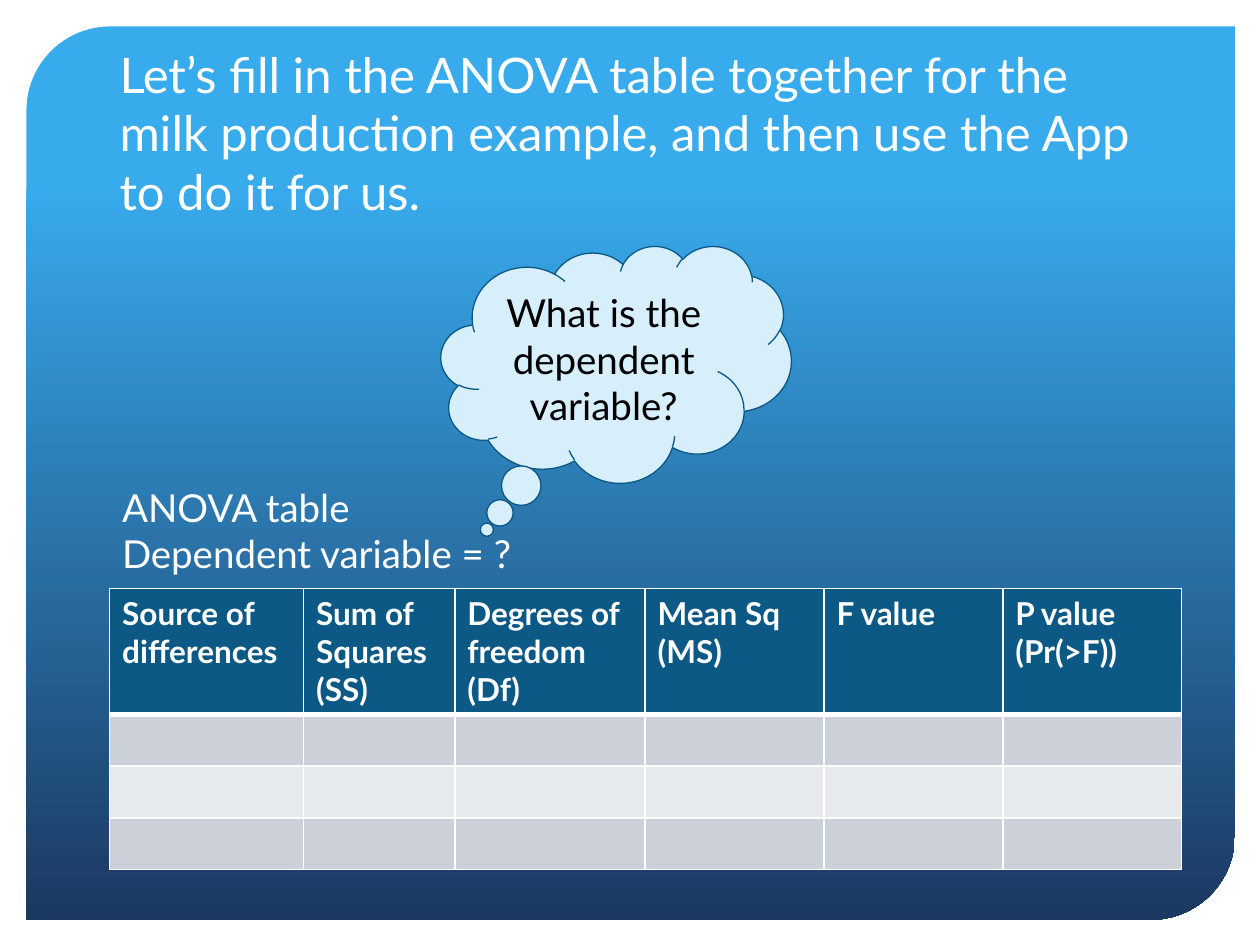
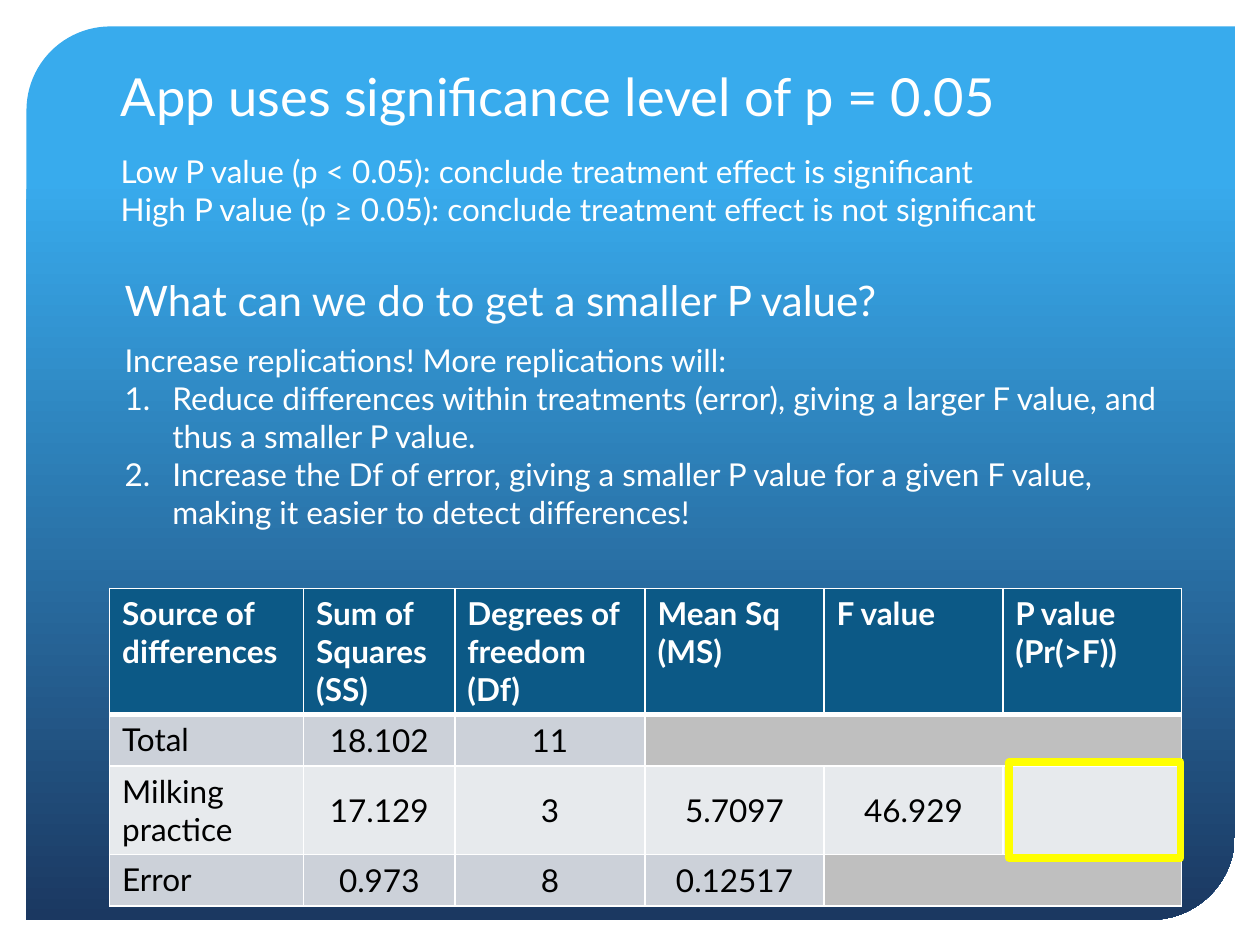
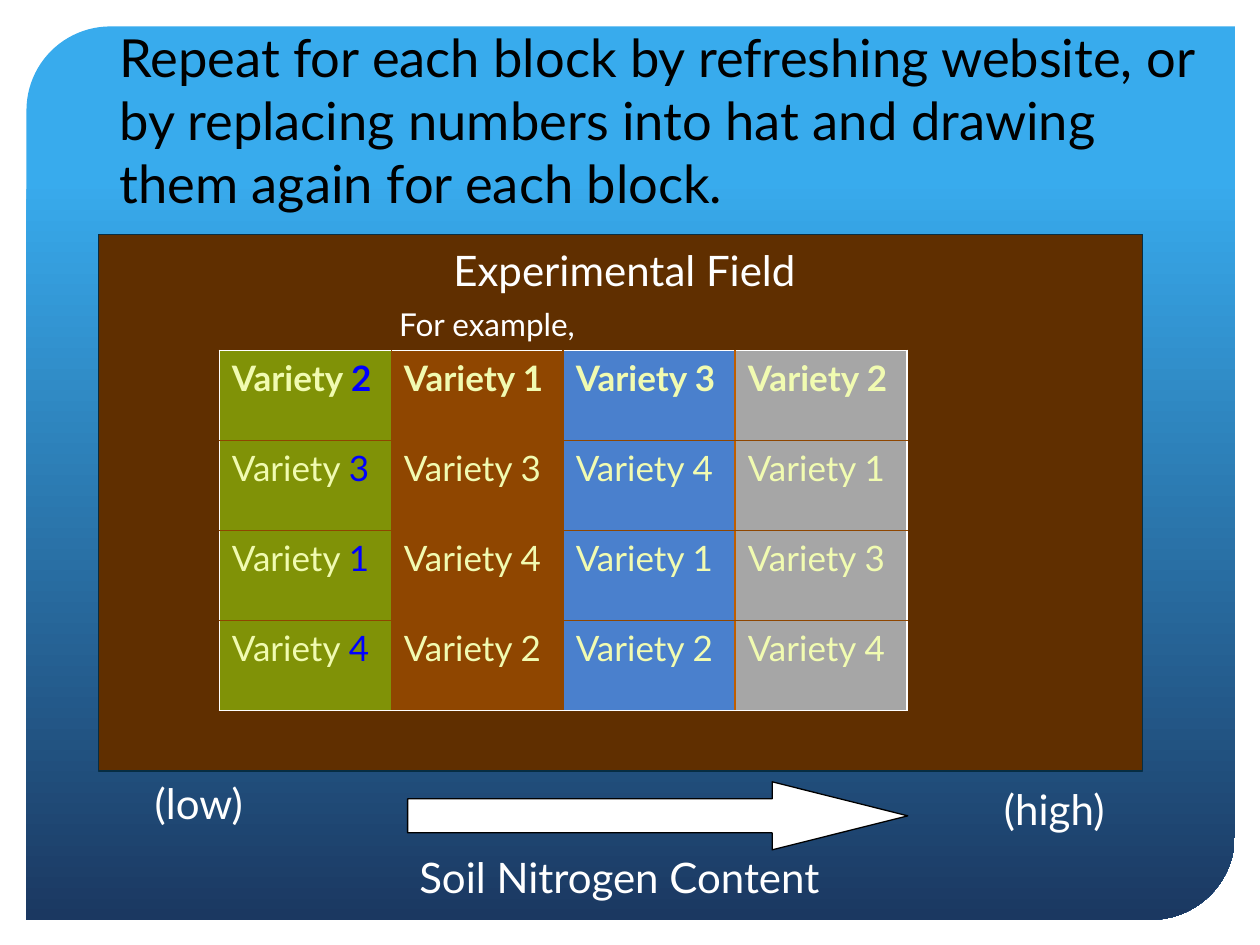
"""Build three slides on ANOVA tables and block randomisation."""
import pptx
import pptx.util
import pptx.dml.color
import pptx.enum.shapes
import pptx.enum.text
import pptx.oxml
import pptx.oxml.ns
import lxml.etree

Inches = pptx.util.Inches
Pt = pptx.util.Pt
SHAPE = pptx.enum.shapes.MSO_SHAPE
ANCHOR = pptx.enum.text.MSO_ANCHOR
ALIGN = pptx.enum.text.PP_ALIGN
RGB = pptx.dml.color.RGBColor.from_string

FONT = "Lato"
COLORS = {
    "white": "FFFFFF", "black": "000000", "sky": "38ABED", "navy": "1B3861",
    "cloud": "D7EEFB", "cloud_line": "095886", "header": "0C5986",
    "odd_row": "CCD1D9", "even_row": "E7EAED", "unused": "BFBFBF",
    "highlight": "FFFF00", "soil": "602F00", "soil_line": "062D43",
    "green": "809207", "brown": "8F4600", "blue": "4A80CD", "gray": "A6A6A6",
    "orange": "BF5E00", "variety": "F1FBB1", "digit": "0000FF",
}


def write(frame, text, size, color="white", bold=False, align=ALIGN.LEFT):
    frame.text = text
    frame.word_wrap = True
    for para in frame.paragraphs:
        para.alignment = align
        for span in para.runs:
            span.font.name = FONT
            span.font.size = Pt(size)
            span.font.bold = bold
            span.font.color.rgb = RGB(COLORS[color])


def paint_cell(cell, fill, borders):
    properties = cell._tc.get_or_add_tcPr()
    for side, (color, width) in zip("LRTB", borders):
        line = lxml.etree.SubElement(properties, pptx.oxml.ns.qn(f"a:ln{side}"), w=str(Pt(width)))
        solid = lxml.etree.SubElement(line, pptx.oxml.ns.qn("a:solidFill"))
        lxml.etree.SubElement(solid, pptx.oxml.ns.qn("a:srgbClr"), val=COLORS[color])
    cell.fill.solid()
    cell.fill.fore_color.rgb = RGB(COLORS[fill])


deck = pptx.Presentation()
deck.slide_width = Inches(10)
deck.slide_height = Inches(7.5)
pages = [deck.slides.add_slide(deck.slide_layouts[6]) for _ in range(3)]
anova_page, significance_page, field_page = pages

for page in pages:
    panel = page.shapes.add_shape(SHAPE.ROUND_2_DIAG_RECTANGLE, Inches(0.21), Inches(0.21), Inches(9.59), Inches(7.09))
    panel.shadow.inherit = False
    panel.adjustments[0] = 0.094
    panel.adjustments[1] = 0
    panel.fill.gradient()
    panel.fill.gradient_angle = 270
    for stop, position, color in zip(panel.fill.gradient_stops, (0.17, 1), ("sky", "navy")):
        stop.position = position
        stop.color.rgb = RGB(COLORS[color])
    panel.line.fill.background()

headers = ["Source of differences", "Sum of Squares\n(SS)", "Degrees of freedom (Df)",
           "Mean Sq\n(MS)", "F value", "P value\n(Pr(>F))"]
results = [
    ["Total", "18.102", "11", "", "", ""],
    ["Milking practice", "17.129", "3", "5.7097", "46.929", ""],
    ["Error", "0.973", "8", "0.12517", "", ""],
]
empty_rows = [[""] * 6 for _ in range(3)]
column_widths = [1.54, 1.2, 1.51, 1.42, 1.42, 1.42]
row_fills = ["header", "odd_row", "even_row", "odd_row"]

for page, body, heights in ((anova_page, empty_rows, (0.99, 0.41, 0.41, 0.41)),
                            (significance_page, results, (0.99, 0.41, 0.7, 0.41))):
    table = page.shapes.add_table(4, 6, Inches(0.87), Inches(4.67), Inches(8.5), Inches(sum(heights))).table
    for column, width in zip(table.columns, column_widths):
        column.width = Inches(width)
    for row_index, values in enumerate([headers] + body):
        table.rows[row_index].height = Inches(heights[row_index])
        top = 3 if row_index == 1 else 1
        bottom = 3 if row_index == 0 else 1
        for column_index, value in enumerate(values):
            cell = table.cell(row_index, column_index)
            is_header = row_index == 0
            is_number = not is_header and column_index > 0
            write(cell.text_frame, value, 18, "white" if is_header else "black", is_header,
                  ALIGN.CENTER if is_number else ALIGN.LEFT)
            if is_number:
                cell.vertical_anchor = ANCHOR.MIDDLE
            unused = body is results and (row_index, column_index) in ((1, 3), (1, 4), (1, 5), (3, 4), (3, 5))
            paint_cell(cell, "unused" if unused else row_fills[row_index],
                       [("white", width) for width in (1, 1, top, bottom)])
    if body is results:
        table.cell(1, 3).merge(table.cell(1, 5))
        table.cell(3, 4).merge(table.cell(3, 5))

shapes = [
    (anova_page, SHAPE.CLOUD_CALLOUT, (3.5, 1.95, 2.78, 1.88), (-0.369, 0.699), 0, "cloud", "cloud_line", 0.75),
    (significance_page, SHAPE.RECTANGLE, (8.01, 6.05, 1.36, 0.76), (), 0, None, "highlight", 4.5),
    (field_page, SHAPE.RECTANGLE, (0.78, 1.86, 8.29, 4.26), (), 0, "soil", "soil_line", 0.75),
    (field_page, SHAPE.UP_ARROW, (4.95, 4.49, 0.54, 3.97), (0.5, 1.994), 90, "white", "black", 0.75),
]
for page, kind, place, adjustments, rotation, fill, line, width in shapes:
    shape = page.shapes.add_shape(kind, *map(Inches, place))
    shape.shadow.inherit = False
    shape.rotation = rotation
    for index, adjustment in enumerate(adjustments):
        shape.adjustments[index] = adjustment
    if fill:
        shape.fill.solid()
        shape.fill.fore_color.rgb = RGB(COLORS[fill])
    else:
        shape.fill.background()
    shape.line.color.rgb = RGB(COLORS[line])
    shape.line.width = Pt(width)
    if kind == SHAPE.CLOUD_CALLOUT:
        shape.text_frame.vertical_anchor = ANCHOR.MIDDLE
        write(shape.text_frame, "What is the dependent variable?", 22, "black", align=ALIGN.CENTER)

titles = [
    (anova_page, (0.87, 3.48, 8.29, 1.14), 22, "white", "ANOVA table\vDependent variable = ?"),
    (anova_page, (0.85, 0.66, 8.29, 1.14), 28, "white",
     "Let’s fill in the ANOVA table together for the milk production example, and then use the App to do it for us."),
    (significance_page, (0.86, -0.08, 9.35, 1.14), 30, "white", "App uses significance level of p = 0.05"),
    (field_page, (0.85, 0.61, 8.94, 1.14), 30, "black",
     "Repeat for each block by refreshing website, or by replacing numbers into hat "
     "and drawing them again for each block."),
]
for page, place, size, color, text in titles:
    box = page.shapes.add_textbox(*map(Inches, place))
    box.text_frame.vertical_anchor = ANCHOR.BOTTOM
    write(box.text_frame, text, size, color)

notes = [
    (significance_page, (0.86, 1.16, 8.56, 0.71), 18,
     "Low P value (p < 0.05): conclude treatment effect is significant\n"
     "High P value (p ≥ 0.05): conclude treatment effect is not significant"),
    (significance_page, (0.89, 2.13, 8.67, 0.5), 24, "What can we do to get a smaller P value?"),
    (field_page, (3.5, 1.89, 3.43, 0.5), 24, "Experimental Field"),
    (field_page, (3.07, 2.37, 3.43, 0.4), 18, "For example,"),
    (field_page, (3.23, 6.71, 3.43, 0.5), 24, "Soil Nitrogen Content"),
    (field_page, (1.13, 6.12, 1.04, 0.5), 24, "(low)"),
    (field_page, (7.87, 6.17, 1.24, 0.5), 24, "(high)"),
    (significance_page, (0.89, 2.66, 8.41, 1.62), 18,
     "Increase replications! More replications will:\n"
     "Reduce differences within treatments (error), giving a larger F value, and thus a smaller P value.\n"
     "Increase the Df of error, giving a smaller P value for a given F value, "
     "making it easier to detect differences!"),
]
for page, place, size, text in notes:
    box = page.shapes.add_textbox(*map(Inches, place))
    write(box.text_frame, text, size)

for para in box.text_frame.paragraphs[1:]:
    properties = para._p.get_or_add_pPr()
    properties.set("marL", str(Inches(0.38)))
    properties.set("indent", str(-Inches(0.38)))
    lxml.etree.SubElement(properties, pptx.oxml.ns.qn("a:buAutoNum"), type="arabicPeriod")

varieties = [(2, 1, 3, 2), (3, 3, 4, 1), (1, 4, 1, 3), (4, 2, 2, 4)]
block_fills = ["green", "brown", "blue", "gray"]
vertical_lines = ["white", "brown", "brown", "orange", "white"]
horizontal_lines = ["white", "brown", "brown", "brown", "white"]
plots = field_page.shapes.add_table(4, 4, Inches(1.74), Inches(2.78), Inches(5.46), Inches(2.86)).table
for column in plots.columns:
    column.width = Inches(1.365)
for row_index, numbers in enumerate(varieties):
    plots.rows[row_index].height = Inches(0.715)
    for column_index, number in enumerate(numbers):
        cell = plots.cell(row_index, column_index)
        is_first = row_index == 0
        write(cell.text_frame, f"Variety {number}", 20, "variety", is_first)
        if column_index == 0:
            para = cell.text_frame.paragraphs[0]
            para.runs[0].text = "Variety "
            digit = para.add_run()
            digit.text = str(number)
            digit.font.name = FONT
            digit.font.size = Pt(20)
            digit.font.bold = is_first
            digit.font.color.rgb = RGB(COLORS["digit"])
        sides = vertical_lines[column_index:column_index + 2] + horizontal_lines[row_index:row_index + 2]
        paint_cell(cell, block_fills[column_index], [(color, 1) for color in sides])

deck.save("out.pptx")
